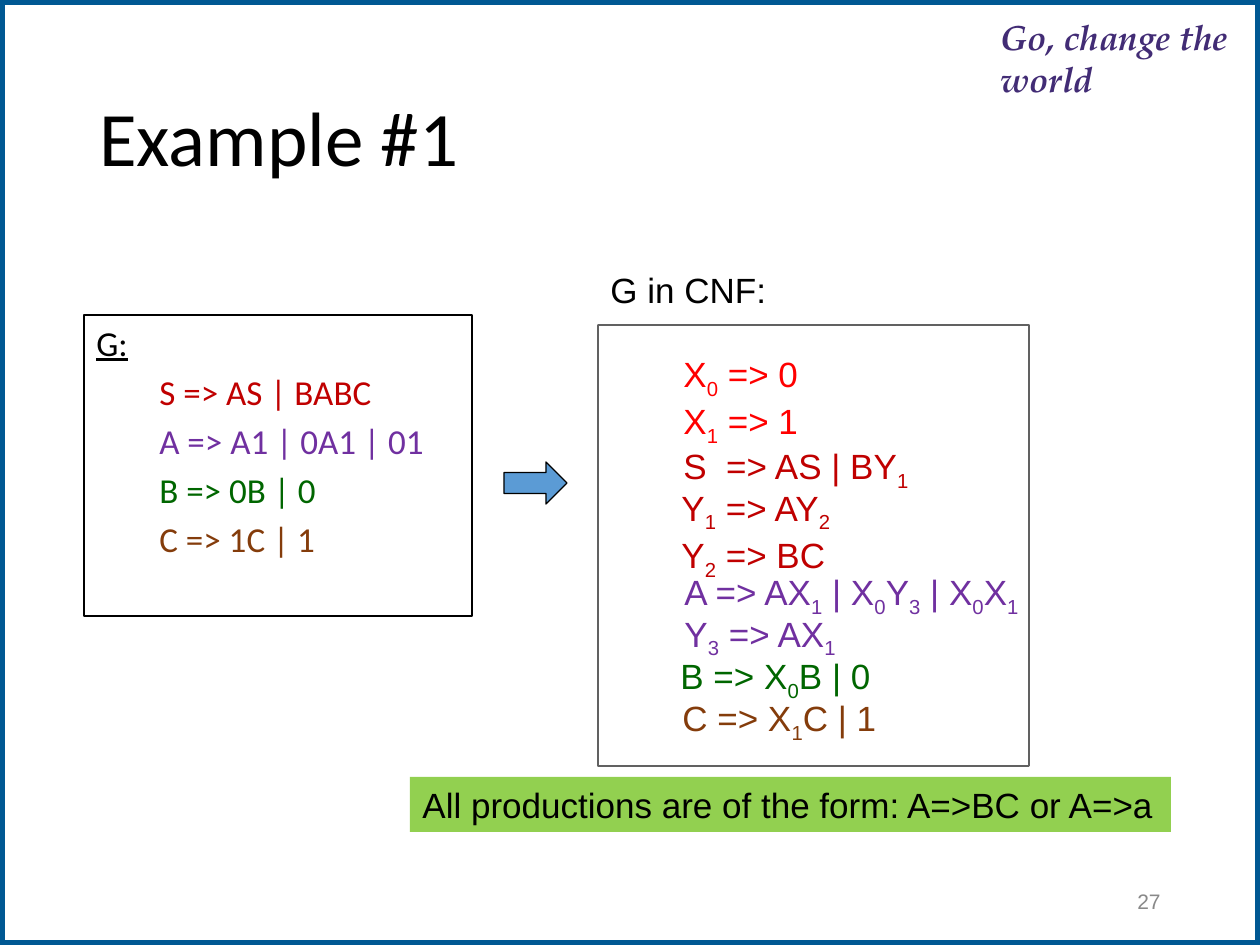
"""Builds the Example #1 slide: a grammar G and its Chomsky normal form."""
from dataclasses import dataclass

from lxml import etree
from pptx import Presentation
from pptx import util as u
from pptx.dml.color import RGBColor
from pptx.enum import shapes, text
from pptx.oxml.ns import qn

PX = u.Inches(1) / 126


@dataclass(frozen=True)
class Theme:
    white: str = "FFFFFF"
    black: str = "000000"
    frame: str = "005893"
    motto: str = "422C75"
    grey: str = "898989"
    terminal: str = "FF0000"
    start: str = "C00000"
    rule_a: str = "7030A0"
    rule_b: str = "006600"
    rule_c: str = "843C0B"
    arrow: str = "5B9BD5"
    banner: str = "92D050"
    sans: str = "Arial"
    body: str = "Calibri"
    script: str = "TeX Gyre Pagella"
    title_size: int = 44
    text_size: int = 20
    number_size: int = 12


T = Theme()

MOTTO = "Go, change the world"
TITLE = "Example #1"
NUMBER = "27"
CNF_LABEL = "G in CNF:"
BANNER = "All productions are of the form: A=>BC or A=>a"
GRAMMAR = [
    ("S => AS | BABC", T.start),
    ("A => A1 | 0A1 | 01", T.rule_a),
    ("B => 0B | 0", T.rule_b),
    ("C => 1C | 1", T.rule_c),
]
CNF = [
    ((671, 346, 150, 97), ["X_0 => 0", "X_1 => 1"], T.terminal),
    ((671, 438, 260, 55), ["S  => AS | BY_1"], T.start),
    ((669, 480, 184, 97), ["Y_1 => AY_2", "Y_2 => BC"], T.start),
    ((672, 564, 372, 55), ["A => AX_1 | X_0Y_3 | X_0X_1"], T.rule_a),
    ((672, 606, 184, 55), ["Y_3 => AX_1"], T.rule_a),
    ((668, 648, 222, 55), ["B => X_0B | 0"], T.rule_b),
    ((670, 690, 224, 55), ["C => X_1C | 1"], T.rule_c),
]


def emu(*lengths):
    return [round(n * PX) for n in lengths]


def add_run(p, words, color=T.black, font=T.sans, size=T.text_size, sub=False):
    r = p.add_run()
    r.text = words
    r.font.name, r.font.size = font, u.Pt(size)
    r.font.color.rgb = RGBColor.from_string(color)
    if sub:
        r.font._element.set("baseline", "-25000")
    return r


def add_subscripted(p, words, color):
    head, *tails = words.split("_")
    add_run(p, head, color)
    for tail in tails:
        add_run(p, tail[0], color, sub=True)
        if tail[1:]:
            add_run(p, tail[1:], color)


def add_box(s, at, anchor=text.MSO_ANCHOR.TOP):
    tf = s.shapes.add_textbox(*emu(*at)).text_frame
    tf.word_wrap = True
    tf.vertical_anchor = anchor
    return tf


def add_shape(s, kind, at, fill=None, line=None, width=1):
    sp = s.shapes.add_shape(kind, *emu(*at))
    sp.shadow.inherit = False
    if fill:
        sp.fill.solid()
        sp.fill.fore_color.rgb = RGBColor.from_string(fill)
    else:
        sp.fill.background()
    if line:
        sp.line.color.rgb = RGBColor.from_string(line)
        sp.line.width = u.Pt(width)
    else:
        sp.line.fill.background()
    tf = sp.text_frame
    tf.word_wrap = True
    tf.vertical_anchor = text.MSO_ANCHOR.TOP
    tf.paragraphs[0].alignment = text.PP_ALIGN.LEFT
    return sp


def add_header(s):
    tf = add_box(s, (1000, 13, 258, 78))
    tf.margin_left = tf.margin_right = tf.margin_bottom = 0
    tf.margin_top = emu(3)[0]
    r = add_run(tf.paragraphs[0], MOTTO, T.motto, T.script)
    r.font.bold = r.font.italic = True
    tf = add_box(s, (87, 50, 1086, 183), text.MSO_ANCHOR.MIDDLE)
    tf.paragraphs[0].line_spacing = 0.9
    add_run(tf.paragraphs[0], TITLE, font=T.body, size=T.title_size)
    tf = add_box(s, (890, 876, 283, 50), text.MSO_ANCHOR.MIDDLE)
    tf.paragraphs[0].alignment = text.PP_ALIGN.RIGHT
    add_run(tf.paragraphs[0], NUMBER, T.grey, size=T.number_size)


def add_grammar(s, rect):
    tf = add_shape(s, rect, (84, 315, 388, 301), T.white, T.black).text_frame
    add_run(tf.paragraphs[0], "G:", font=T.body).font.underline = True
    for rule, color in GRAMMAR:
        p = tf.add_paragraph()
        p.alignment = text.PP_ALIGN.LEFT
        p.space_before = u.Pt(4)
        p._p.get_or_add_pPr().set("marL", str(emu(63)[0]))
        add_run(p, rule, color, T.body)


def add_cnf(s, rect):
    for at, rules, color in CNF:
        tf = add_box(s, at)
        for i, rule in enumerate(rules):
            p = tf.add_paragraph() if i else tf.paragraphs[0]
            add_subscripted(p, rule, color)
    panel = add_shape(s, rect, (598, 325, 431, 441), line=T.black)
    tint = next(panel.line._ln.iter(qn("a:srgbClr")))
    etree.SubElement(tint, qn("a:alpha")).set("val", "62000")
    add_run(add_box(s, (598, 262, 190, 55)).paragraphs[0], CNF_LABEL)


def main():
    prs = Presentation()
    prs.slide_width, prs.slide_height = emu(1260, 945)
    s = prs.slides.add_slide(prs.slide_layouts[6])
    rect = shapes.MSO_SHAPE.RECTANGLE
    add_shape(s, rect, (0, 0, 1260, 945), T.white, T.frame, 6)
    add_header(s)
    add_grammar(s, rect)
    add_cnf(s, rect)
    add_shape(s, shapes.MSO_SHAPE.RIGHT_ARROW, (504, 462, 63, 42), T.arrow, T.black, 0.75)
    banner = add_shape(s, rect, (410, 777, 761, 55), T.banner)
    add_run(banner.text_frame.paragraphs[0], BANNER)
    prs.save("out.pptx")


if __name__ == "__main__":
    main()
